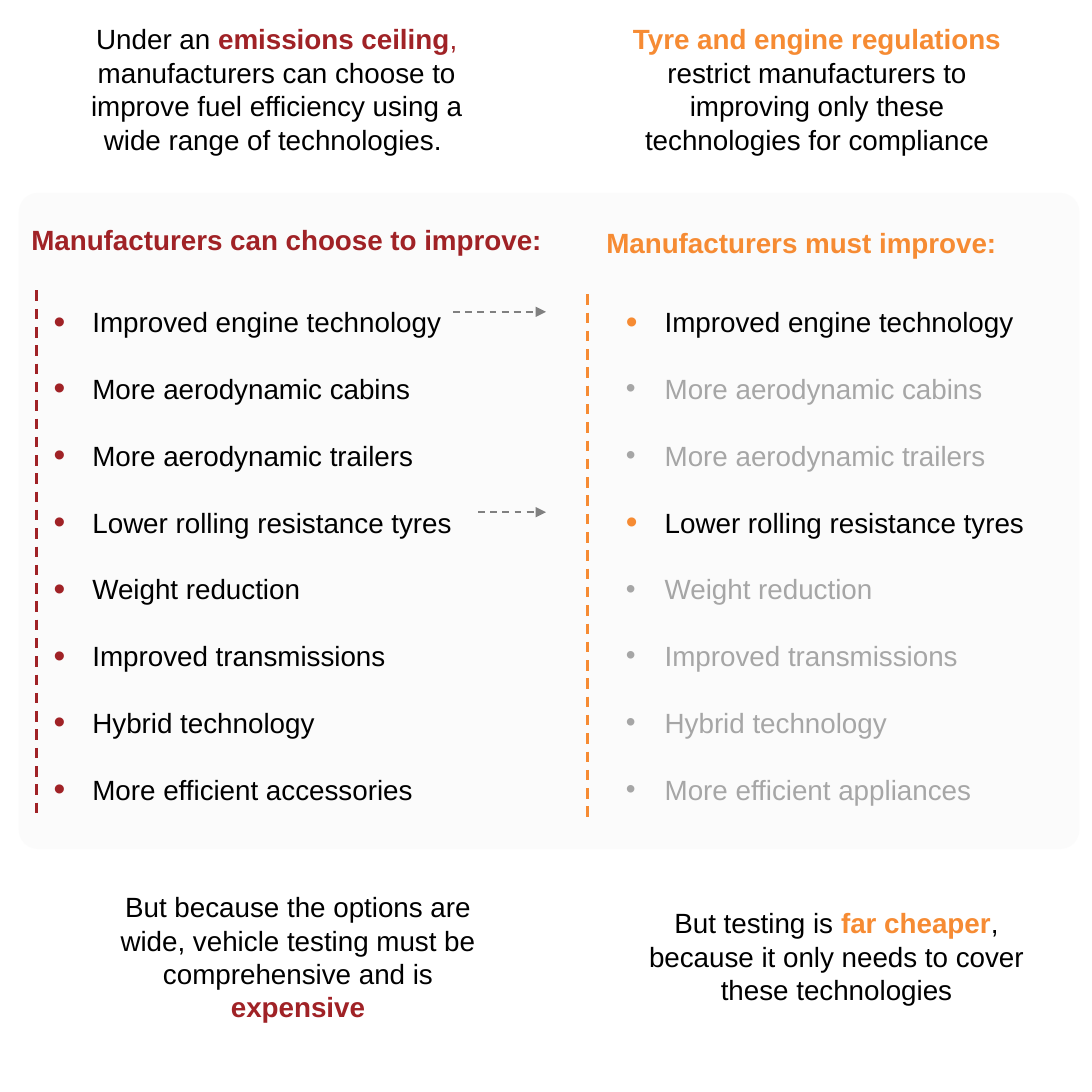
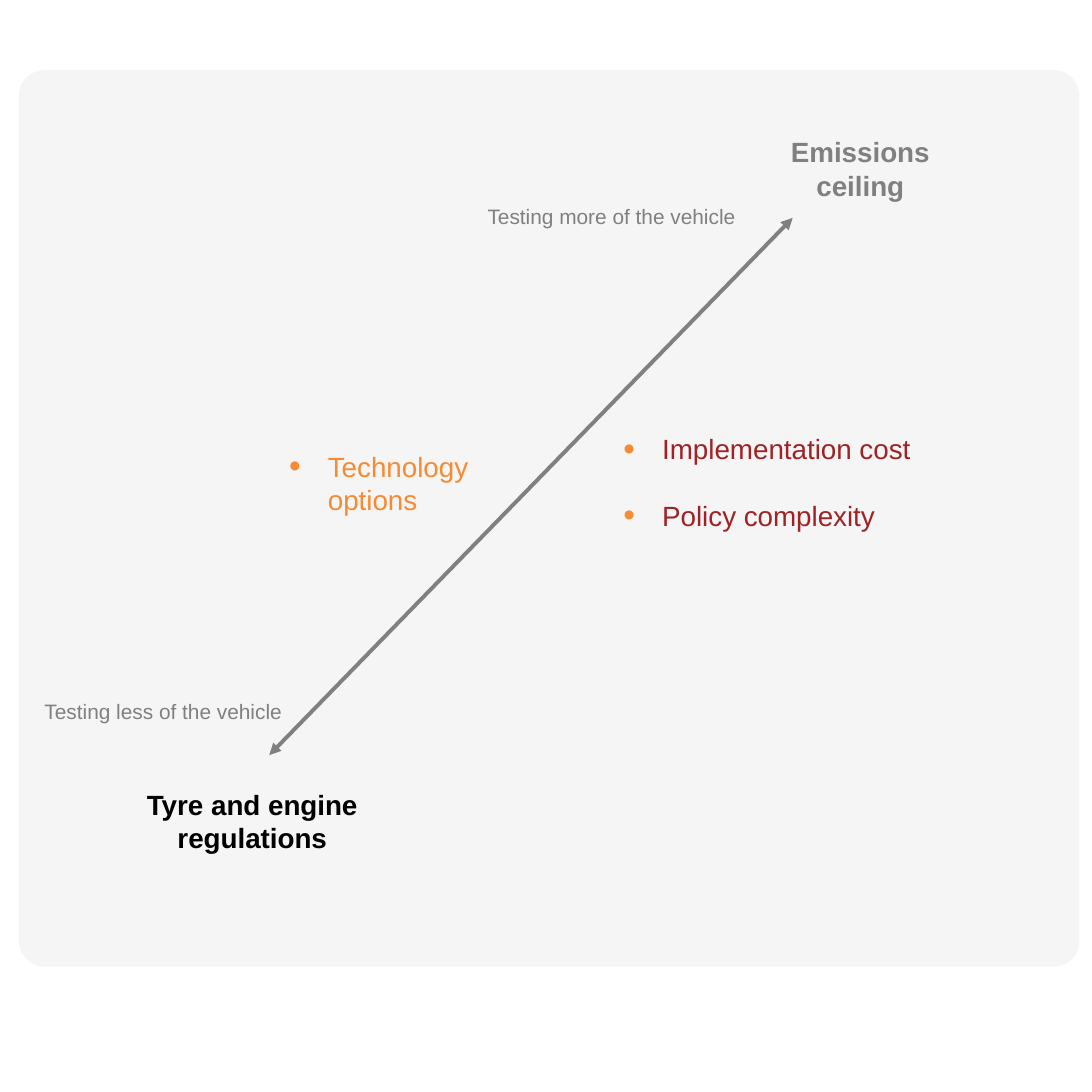
from lxml import etree
from pptx import Presentation
from pptx.dml.color import RGBColor
from pptx.enum import dml, shapes, text
from pptx.oxml.ns import qn
from pptx.util import Inches, Pt

SIDE = 8.72
FONT = "Arial"
COLORS = {
    "red": "A02226", "orange": "F68B33", "black": "000000", "white": "FFFFFF",
    "grey": "808080", "faded": "A6A6A6", "pale": "F2F2F2", "silver": "D9D9D9",
}
PANEL = {"left": 0.15, "width": 8.47, "corner": 0.029, "opacity": 24}
BULLET = {"indent": 0.31, "size": 120}
ITEM_GAP = 19.2

# Content: a run is (text, colour, bold); a box is (left, top, width, height)
STATEMENTS = [
    ((0.51, 0.12, 3.4, 1.18), [
        ("Under an ", "black", False), ("emissions ceiling", "red", True), (", ", "red", False),
        ("manufacturers can choose to improve fuel efficiency using a wide range of technologies. ",
         "black", False)]),
    ((4.91, 0.12, 3.23, 1.18), [
        ("Tyre and engine regulations ", "orange", True),
        ("restrict manufacturers to improving only these technologies for compliance",
         "black", False)]),
    ((0.68, 7.05, 3.4, 1.18), [
        ("But because the options are wide, vehicle testing must be comprehensive and is ",
         "black", False), ("expensive", "red", True)]),
    ((4.98, 7.18, 3.4, 0.91), [
        ("But testing is ", "black", False), ("far cheaper", "orange", True),
        (", because it only needs to cover these technologies", "black", False)]),
]
TECHNOLOGIES = [
    "Improved engine technology", "More aerodynamic cabins", "More aerodynamic trailers",
    "Lower rolling resistance tyres", "Weight reduction", "Improved transmissions",
    "Hybrid technology",
]
REGULATED = {"Improved engine technology", "Lower rolling resistance tyres"}
COLUMNS = [
    {"heading": "Manufacturers can choose to improve: ", "heading_at": (0.15, 1.73),
     "color": "red", "left": 0.33, "rule": (0.29, 2.32, 6.5),
     "items": TECHNOLOGIES + ["More efficient accessories"], "limited": False},
    {"heading": "Manufacturers must improve:", "heading_at": (4.23, 1.75),
     "color": "orange", "left": 4.9, "rule": (4.69, 2.35, 6.58),
     "items": TECHNOLOGIES + ["More efficient appliances"], "limited": True},
]
LIST_TOP, LIST_WIDTH, LIST_HEIGHT = 2.12, 3.74, 4.86
LINK_STARTS = [(3.62, 2.49), (3.82, 4.09)]
LINK_END = 4.36

SCALE_LABELS = [
    ((5.17, 1.03, 3.4, 0.64), ["Emissions", "ceiling"], "grey", True, 16),
    ((0.4, 6.24, 3.23, 0.64), ["Tyre and engine", "regulations"], "black", True, 16),
    ((-0.31, 5.53, 3.23, 0.3), ["Testing less of the vehicle"], "grey", False, 12),
    ((3.27, 1.58, 3.23, 0.3), ["Testing more of the vehicle"], "grey", False, 12),
]
SCALE_LISTS = [
    ((2.21, 3.54, 2.28, 0.64), ["Technology options"], "orange"),
    ((4.88, 3.4, 3.74, 0.91), ["Implementation cost", "Policy complexity"], "red"),
]


def rgb(name):
    return RGBColor.from_string(COLORS[name])


def add_panel(slide, top, height, color):
    box = map(Inches, (PANEL["left"], top, PANEL["width"], height))
    panel = slide.shapes.add_shape(shapes.MSO_SHAPE.ROUNDED_RECTANGLE, *box)
    panel.adjustments[0] = PANEL["corner"]
    panel.shadow.inherit = False
    panel.fill.solid()
    panel.fill.fore_color.rgb = rgb(color)
    panel.line.fill.background()
    fill_color = panel.fill._xPr.find(qn("a:solidFill"))[0]
    etree.SubElement(fill_color, qn("a:alpha"), val=str(PANEL["opacity"] * 1000))


def add_bullet(paragraph, color=None):
    properties = paragraph._p.get_or_add_pPr()
    indent = Inches(BULLET["indent"])
    properties.set("marL", str(indent))
    properties.set("indent", str(-indent))
    if color:
        bullet_color = etree.SubElement(properties, qn("a:buClr"))
        etree.SubElement(bullet_color, qn("a:srgbClr"), val=COLORS[color])
        etree.SubElement(properties, qn("a:buSzPct"), val=str(BULLET["size"] * 1000))
    etree.SubElement(properties, qn("a:buFont"), typeface=FONT)
    etree.SubElement(properties, qn("a:buChar"), char="•")


def add_text(slide, box, paragraphs, size=16, bullets=None, filled=False, **paragraph_format):
    """Each paragraph is a list of runs; bullets gives one colour or None per paragraph."""
    box = [Inches(length) for length in box]
    if filled:
        shape = slide.shapes.add_shape(shapes.MSO_SHAPE.RECTANGLE, *box)
        shape.shadow.inherit = False
        shape.fill.solid()
        shape.fill.fore_color.rgb = rgb("white")
        shape.line.fill.background()
    else:
        shape = slide.shapes.add_textbox(*box)
    frame = shape.text_frame
    frame.word_wrap = True
    frame.auto_size = text.MSO_AUTO_SIZE.SHAPE_TO_FIT_TEXT
    for index, runs in enumerate(paragraphs):
        paragraph = frame.add_paragraph() if index else frame.paragraphs[0]
        for name, value in paragraph_format.items():
            if index or name != "space_before":
                setattr(paragraph, name, value)
        if bullets:
            add_bullet(paragraph, bullets[index])
        for content, color, bold in runs:
            run = paragraph.add_run()
            run.text = content
            run.font.color.rgb = rgb(color)
            for name, value in {"name": FONT, "size": Pt(size), "bold": bold}.items():
                setattr(run.font, name, value)


def add_line(slide, start, end, color, width, dashed=False, arrows=()):
    points = map(Inches, (*start, *end))
    line = slide.shapes.add_connector(shapes.MSO_CONNECTOR.STRAIGHT, *points)
    line.line.color.rgb = rgb(color)
    line.line.width = Pt(width)
    if dashed:
        line.line.dash_style = dml.MSO_LINE.DASH
    outline = line.line._get_or_add_ln()
    for arrow in arrows:
        etree.SubElement(outline, qn("a:" + arrow), type="triangle")
    etree.SubElement(line._element.spPr, qn("a:effectLst"))


def build_comparison(slide):
    centered = {"alignment": text.PP_ALIGN.CENTER}
    add_panel(slide, 1.54, 5.24, "pale")

    # Statements above and below the panel
    for box, runs in STATEMENTS:
        add_text(slide, box, [runs], filled=True, **centered)

    # Two columns of technologies, each with a dashed rule
    for column in COLUMNS:
        color = column["color"]
        active = [not column["limited"] or item in REGULATED for item in column["items"]]
        x, top, bottom = column["rule"]
        add_line(slide, (x, top), (x, bottom), color, 1.5, dashed=True)
        add_text(slide, (column["left"], LIST_TOP, LIST_WIDTH, LIST_HEIGHT),
                 [[(item, "black" if on else "faded", False)]
                  for item, on in zip(column["items"], active)],
                 bullets=[color if on else None for on in active], line_spacing=2.0)
        add_text(slide, (*column["heading_at"], 4.34, 0.37),
                 [[(column["heading"], color, True)]], **centered)

    # Arrows between matching technologies
    for x, y in LINK_STARTS:
        add_line(slide, (x, y), (LINK_END, y), "grey", 1, dashed=True, arrows=["tailEnd"])


def build_scale(slide):
    add_panel(slide, 0.56, 7.16, "silver")
    add_line(slide, (2.15, 6.03), (6.33, 1.74), "grey", 2.25, arrows=["headEnd", "tailEnd"])
    for box, lines, color, bold, size in SCALE_LABELS:
        add_text(slide, box, [[(line, color, bold)] for line in lines], size,
                 alignment=text.PP_ALIGN.CENTER)
    for box, items, color in SCALE_LISTS:
        add_text(slide, box, [[(item, color, False)] for item in items],
                 bullets=["orange"] * len(items), space_before=Pt(ITEM_GAP))


def main():
    presentation = Presentation()
    presentation.slide_width = presentation.slide_height = Inches(SIDE)
    for build in (build_comparison, build_scale):
        build(presentation.slides.add_slide(presentation.slide_layouts[6]))
    presentation.save("out.pptx")


if __name__ == "__main__":
    main()
